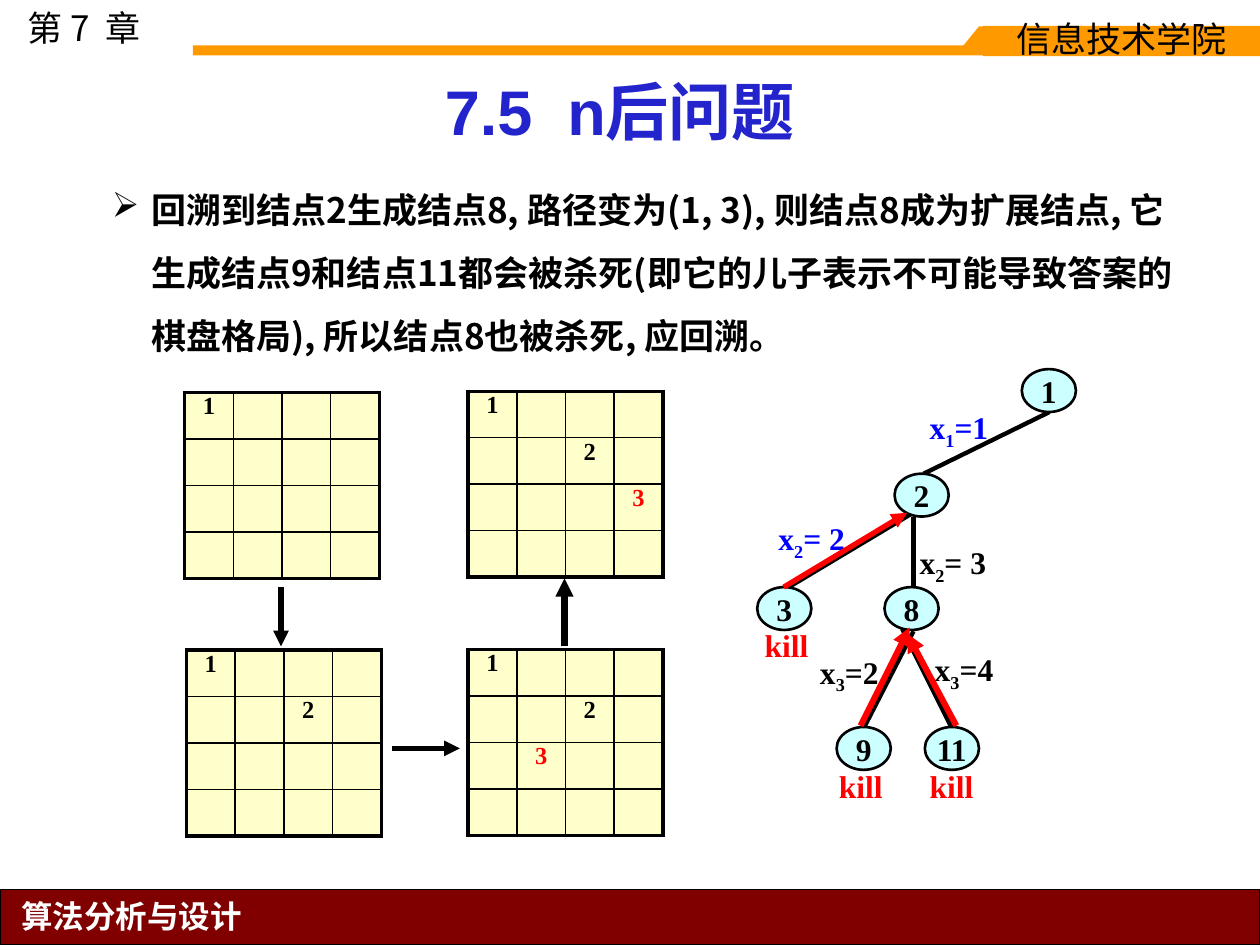
from lxml import etree
from pptx import Presentation
from pptx.dml.color import RGBColor
from pptx.enum.shapes import MSO_CONNECTOR, MSO_SHAPE
from pptx.enum.text import MSO_ANCHOR, PP_ALIGN
from pptx.oxml.ns import qn
from pptx.util import Inches, Pt

STRAIGHT = MSO_CONNECTOR.STRAIGHT
RECTANGLE, OVAL = MSO_SHAPE.RECTANGLE, MSO_SHAPE.OVAL
MIDDLE = MSO_ANCHOR.MIDDLE
LEFT, CENTER = PP_ALIGN.LEFT, PP_ALIGN.CENTER

BLACK = RGBColor(0x00, 0x00, 0x00)
WHITE = RGBColor(0xFF, 0xFF, 0xFF)
ORANGE = RGBColor(0xFF, 0x99, 0x00)
MAROON = RGBColor(0x80, 0x00, 0x00)
NAVY = RGBColor(0x23, 0x24, 0xCB)
BLUE = RGBColor(0x00, 0x00, 0xFF)
RED = RGBColor(0xFF, 0x00, 0x00)
AQUA = RGBColor(0xCC, 0xFF, 0xFF)
CREAM = RGBColor(0xFF, 0xFF, 0xCC)

HAN, SERIF, SANS = "Noto Sans CJK SC", "Times New Roman", "Arial"
COLUMNS, ROWS = 100, 75
NODE_WIDTH, NODE_HEIGHT = 4.3, 3.4
BOARD_SIZE, SQUARE_WIDTH, SQUARE_HEIGHT = 4, 3.87, 3.69


class Slide:
    def __init__(self, deck):
        self.page = deck.slides.add_slide(deck.slide_layouts[5])
        self.shapes = self.page.shapes
        self.column = deck.slide_width / COLUMNS
        self.row = deck.slide_height / ROWS

    def place(self, across, down):
        return round(across * self.column), round(down * self.row)

    def area(self, left, top, width, height):
        return self.place(left, top) + self.place(width, height)

    def style(self, para, size, color, name=SERIF, bold=True, align=LEFT, spacing=1.0):
        para.alignment, para.line_spacing = align, spacing
        font = para.font
        font.size, font.bold, font.name = Pt(size), bold, name
        font.color.rgb = color
        etree.SubElement(font._rPr, qn("a:ea")).set("typeface", HAN)

    def title(self, words, area):
        box = self.shapes.title
        box.left, box.top, box.width, box.height = self.area(*area)
        box.text_frame.vertical_anchor = MIDDLE
        para = box.text_frame.paragraphs[0]
        para.text = words
        self.style(para, 36, NAVY, SANS, align=CENTER)

    def text(self, words, area, size, color, bullet=None, **look):
        box = self.shapes.add_textbox(*self.area(*area))
        box.text_frame.word_wrap = True
        para = box.text_frame.paragraphs[0]
        para.text = words
        if bullet:
            self.bullet(para, bullet)
        self.style(para, size, color, **look)
        return para

    def bullet(self, para, mark):
        props = para._p.get_or_add_pPr()
        props.set("marL", str(Inches(0.31)))
        props.set("indent", str(-Inches(0.31)))
        props.set("hangingPunct", "0")
        etree.SubElement(props, qn("a:buChar")).set("char", mark)

    def variable(self, index, value, left, top, color):
        para = self.text("x", (left, top, 8, 4), 18, color)
        span = para.add_run()
        span.text = index
        span._r.get_or_add_rPr().set("baseline", "-25000")
        para.add_run().text = value

    def paint(self, shape, fill, line=None, width=0.75):
        shape.shadow.inherit = False
        shape.fill.solid()
        shape.fill.fore_color.rgb = fill
        if line is None:
            shape.line.fill.background()
        else:
            shape.line.color.rgb = line
            shape.line.width = Pt(width)

    def shape(self, kind, area, fill, line=None, width=0.75):
        shape = self.shapes.add_shape(kind, *self.area(*area))
        self.paint(shape, fill, line, width)
        return shape

    def label(self, shape, words, size, wrap=True, **look):
        frame = shape.text_frame
        frame.word_wrap, frame.vertical_anchor = wrap, MIDDLE
        para = frame.paragraphs[0]
        para.text = words
        self.style(para, size, BLACK, align=CENTER, **look)

    def outline(self, points, fill):
        corners = [self.place(*point) for point in points]
        builder = self.shapes.build_freeform(*corners[0])
        builder.add_line_segments(corners[1:])
        self.paint(builder.convert_to_shape(), fill)

    def node(self, name, left, top):
        oval = self.shape(OVAL, (left, top, NODE_WIDTH, NODE_HEIGHT), AQUA, BLACK, 1.5)
        self.label(oval, name, 18, wrap=False)

    def line(self, start, end, color=BLACK, width=2.5, arrow=False):
        link = self.shapes.add_connector(STRAIGHT, *self.place(*start), *self.place(*end))
        link.line.color.rgb, link.line.width = color, Pt(width)
        if arrow:
            etree.SubElement(link.line._get_or_add_ln(), qn("a:tailEnd")).set("type", "triangle")
        etree.SubElement(link._element.spPr, qn("a:effectLst"))

    def border(self, cell, side, width):
        edge = etree.SubElement(cell._tc.get_or_add_tcPr(), qn("a:ln" + side))
        edge.set("w", str(Pt(width)))
        fill = etree.SubElement(edge, qn("a:solidFill"))
        etree.SubElement(fill, qn("a:srgbClr")).set("val", str(BLACK))

    def board(self, left, top, queens):
        size = BOARD_SIZE
        area = self.area(left, top, size * SQUARE_WIDTH, size * SQUARE_HEIGHT)
        table = self.shapes.add_table(size, size, *area).table
        table.first_row = table.horz_banding = False
        last = size - 1
        for down in range(size):
            for across in range(size):
                cell = table.cell(down, across)
                cell.margin_left = cell.margin_right = Inches(0.07)
                cell.margin_top = cell.margin_bottom = Inches(0.04)
                words, color = queens.get((down, across), ("", BLACK))
                para = cell.text_frame.paragraphs[0]
                para.text = words
                self.style(para, 14, color, align=CENTER, spacing=0.8)
                outer = {"L": across == 0, "R": across == last, "T": down == 0, "B": down == last}
                for side, edge in outer.items():
                    self.border(cell, side, 2.25 if edge else 1)
                cell.fill.solid()
                cell.fill.fore_color.rgb = CREAM


def draw_frame(slide):
    slide.text("第 7  章", (1.2, 0, 13.4, 4.3), 20, BLACK, name=HAN, bold=False)
    slide.shape(RECTANGLE, (15.3, 3.6, 77.2, 0.8), ORANGE)
    slide.shape(RECTANGLE, (77.7, 2.1, 14.8, 1.6), ORANGE)
    slide.outline([(76.4, 3.7), (77.7, 3.7), (77.7, 2.1)], ORANGE)
    school = slide.shape(RECTANGLE, (78, 2.05, 22, 2.4), ORANGE)
    slide.label(school, "信息技术学院", 20, name="DejaVu Sans", bold=False, spacing=0.9)
    slide.shape(RECTANGLE, (0, 70.6, 100, 4.4), MAROON, BLACK)
    slide.text("算法分析与设计", (0.6, 70.7, 19.7, 4), 18, WHITE, name=HAN, align=CENTER)


def draw_boards(slide):
    first = {(0, 0): ("1", BLACK)}
    second = {**first, (1, 2): ("2", BLACK)}
    slide.board(14.65, 31.15, first)
    slide.board(14.8, 51.6, second)
    slide.board(37.15, 51.55, {**second, (2, 1): ("3", RED)})
    slide.board(37.15, 31.05, {**second, (2, 3): ("3", RED)})
    slide.line((22.3, 46.6), (22.3, 51.3), width=3, arrow=True)
    slide.line((31.1, 59.4), (36.5, 59.4), width=3, arrow=True)
    slide.line((44.8, 51.3), (44.8, 45.9), width=3.5, arrow=True)


def draw_tree(slide):
    for start, end in [((83.3, 32.7), (73.3, 37.6)), ((72.8, 40.5), (62.6, 46.6)),
                       ((72.5, 41), (72.5, 46.8)), ((72.5, 50.1), (68.6, 57.7)),
                       ((71.6, 49.9), (75.5, 57.7))]:
        slide.line(start, end)
    for name, left, top in [("1", 81.1, 29.3), ("2", 71, 37.6), ("3", 60.1, 46.6),
                            ("8", 70.2, 46.6), ("9", 66.4, 57.7), ("11", 73.4, 57.7)]:
        slide.node(name, left, top)
    for index, value, left, top, color in [("1", "=1", 72.8, 31.9, BLUE), ("2", "= 2", 60.8, 40.7, BLUE),
                                           ("2", "= 3", 72, 42.6, BLACK), ("3", "=2", 64.1, 51.3, BLACK),
                                           ("3", "=4", 73.2, 51.1, BLACK)]:
        slide.variable(index, value, left, top, color)
    for left, top in [(59.7, 49.75), (65.6, 61), (72.8, 61)]:
        slide.text("kill", (left, top, 8, 3.4), 18, RED, spacing=0.8)
    for start, end, width in [((62.2, 46.6), (72, 40.7), 3), ((68.3, 57.6), (72.2, 49.8), 3.5),
                              ((75.9, 57.6), (72, 50.3), 3.5)]:
        slide.line(start, end, RED, width, arrow=True)


def main():
    deck = Presentation()
    deck.slide_width, deck.slide_height = Inches(10), Inches(7.5)
    slide = Slide(deck)
    slide.title("7.5  n后问题", (6.7, 4.35, 85, 8.8))
    draw_frame(slide)
    slide.text("回溯到结点2生成结点8, 路径变为(1, 3), 则结点8成为扩展结点, 它生成结点9和结点11都会被杀死"
               "(即它的儿子表示不可能导致答案的棋盘格局), 所以结点8也被杀死, 应回溯。",
               (7.9, 12.8, 87.8, 15.4), 20, BLACK, bullet="➢", name=HAN, spacing=1.5)
    draw_boards(slide)
    draw_tree(slide)
    deck.save("out.pptx")


if __name__ == "__main__":
    main()
